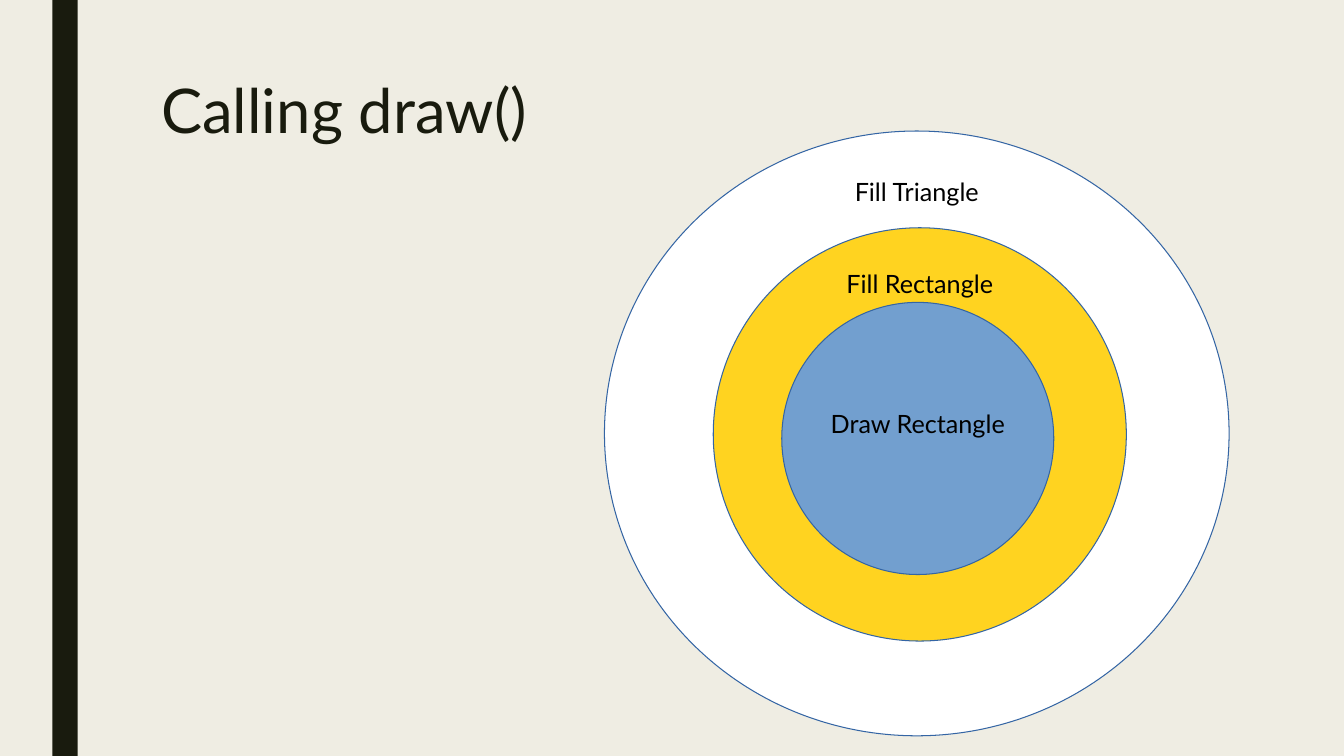
"""Build the "Calling draw()" slide with three nested circles."""
from pptx import Presentation
from pptx.dml.color import RGBColor
from pptx.enum.shapes import MSO_SHAPE
from pptx.enum.text import MSO_ANCHOR, PP_ALIGN
from pptx.util import Inches, Pt

BACKGROUND = RGBColor(0xEF, 0xED, 0xE3)
DARK = RGBColor(0x19, 0x1B, 0x0E)
BLACK = RGBColor(0x00, 0x00, 0x00)
WHITE = RGBColor(0xFF, 0xFF, 0xFF)
YELLOW = RGBColor(0xFF, 0xD3, 0x20)
BLUE = RGBColor(0x72, 0x9F, 0xCF)
OUTLINE = RGBColor(0x34, 0x65, 0xA4)


def add_filled(s, kind, x, y, w, h, color):
    sp = s.shapes.add_shape(kind, Inches(x), Inches(y), Inches(w), Inches(h))
    sp.shadow.inherit = False
    sp.fill.solid()
    sp.fill.fore_color.rgb = color
    return sp


def set_font(p, size, color):
    p.font.name = "Lato"
    p.font.size = Pt(size)
    p.font.color.rgb = color


prs = Presentation()
prs.slide_width, prs.slide_height = Inches(13.34), Inches(7.5)
s = prs.slides.add_slide(prs.slide_layouts[5])
s.background.fill.solid()
s.background.fill.fore_color.rgb = BACKGROUND

bar = add_filled(s, MSO_SHAPE.RECTANGLE, 0.52, 0, 0.25, 7.5, DARK)
bar.line.fill.background()

title = s.shapes.title
title.left, title.top = Inches(1.5), Inches(0.75)
title.width, title.height = Inches(10.5), Inches(1.63)
tf = title.text_frame
tf.text = "Calling draw()"
tf.vertical_anchor = MSO_ANCHOR.TOP
p = tf.paragraphs[0]
p.alignment = PP_ALIGN.LEFT
p.line_spacing = 0.89
set_font(p, 44, DARK)

LABEL_W, LABEL_H = 2.2, 0.4
circles = [
    ("Fill Triangle", 6, 1.3, 6.2, 6, WHITE, 1.9),
    ("Fill Rectangle", 7.08, 2.26, 4.1, 4.1, YELLOW, 2.81),
    ("Draw Rectangle", 7.76, 3, 2.7, 2.7, BLUE, 4.2),
]
for text, x, y, w, h, color, label_y in circles:
    circle = add_filled(s, MSO_SHAPE.OVAL, x, y, w, h, color)
    circle.line.color.rgb = OUTLINE
    circle.line.width = Pt(0.75)

    label = s.shapes.add_textbox(
        Inches(x + (w - LABEL_W) / 2), Inches(label_y - LABEL_H / 2),
        Inches(LABEL_W), Inches(LABEL_H))
    tf = label.text_frame
    tf.word_wrap = True
    tf.vertical_anchor = MSO_ANCHOR.MIDDLE
    p = tf.paragraphs[0]
    p.text = text
    p.alignment = PP_ALIGN.CENTER
    set_font(p, 18, BLACK)

prs.save("out.pptx")
